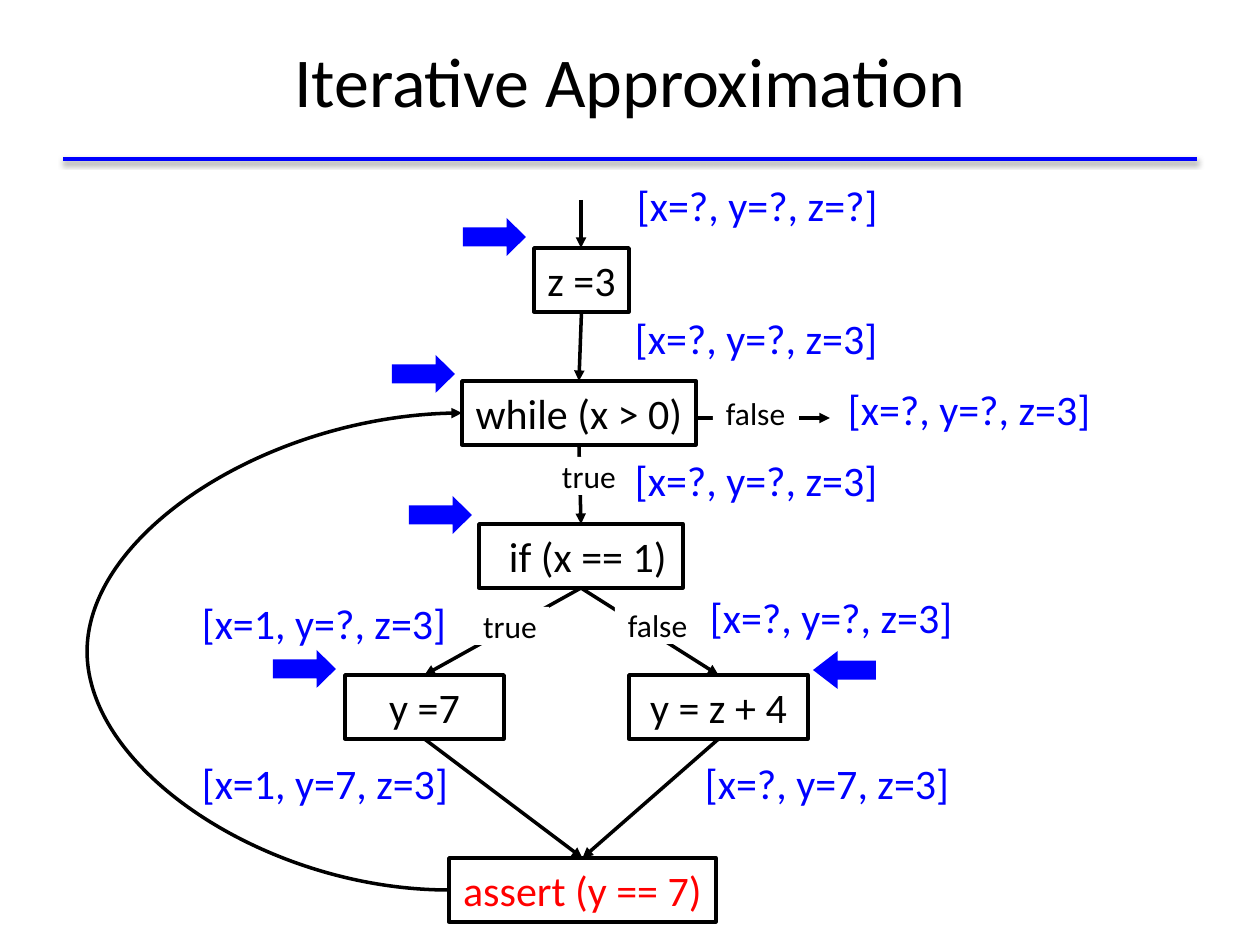
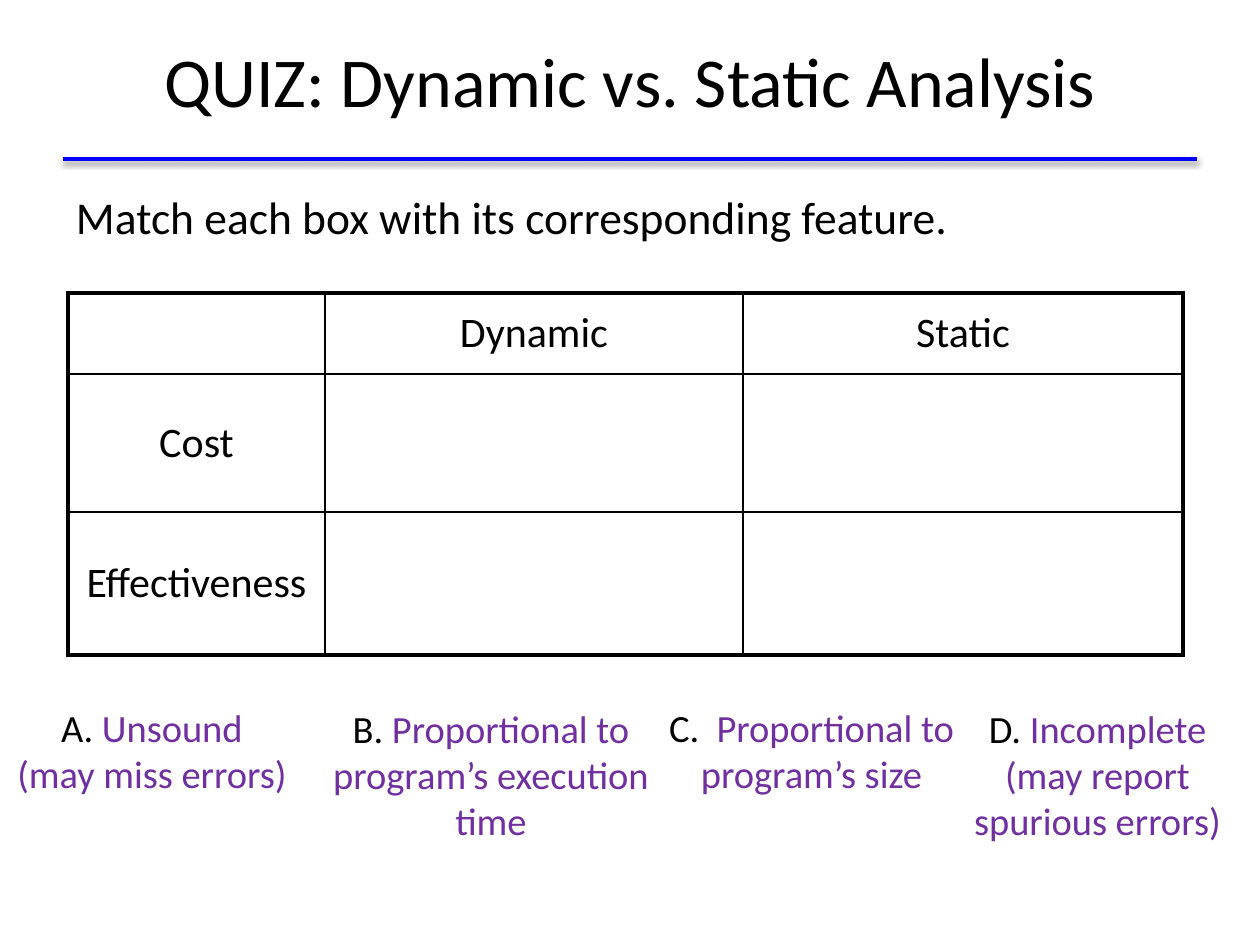
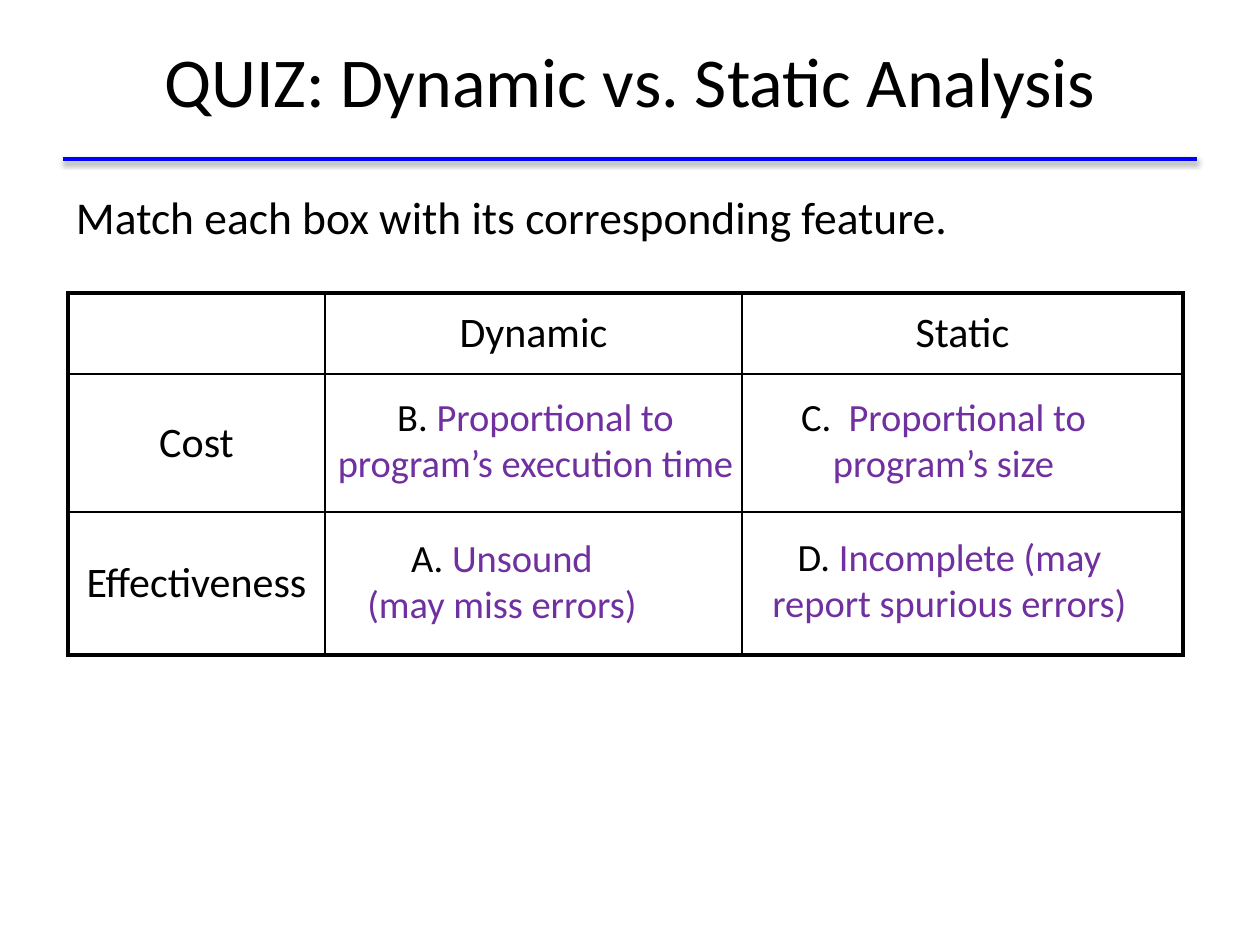
from lxml.etree import SubElement
from pptx import Presentation
from pptx.dml.color import RGBColor
from pptx.enum.shapes import MSO_CONNECTOR, MSO_SHAPE
from pptx.enum.text import MSO_ANCHOR, PP_ALIGN
from pptx.oxml.ns import qn
from pptx.util import Emu, Pt

STRAIGHT, CURVE = MSO_CONNECTOR.STRAIGHT, MSO_CONNECTOR.CURVE
RECT, ARROW = MSO_SHAPE.RECTANGLE, MSO_SHAPE.RIGHT_ARROW
LEFT, CENTER = PP_ALIGN.LEFT, PP_ALIGN.CENTER
TOP, MIDDLE = MSO_ANCHOR.TOP, MSO_ANCHOR.MIDDLE
SITE_TOP, SITE_LEFT, SITE_BOTTOM = 0, 1, 2
FONT = "Calibri"
BLACK, WHITE, BLUE, RED, PURPLE = "000000", "FFFFFF", "0000FF", "FF0000", "7030A0"
INSET = (13, 6, 13, 6)
THIN, THICK = 1, 2.25


def px(n):
    return Emu(round(n * 914400 / 126))


def rgb(color):
    return RGBColor.from_string(color)


class Deck:
    """Holds the shared style and draws elements on the current slide."""

    def __init__(self):
        self.prs = Presentation()
        self.prs.slide_width, self.prs.slide_height = px(1260), px(945)

    def slide(self, title):
        self.s = self.prs.slides.add_slide(self.prs.slide_layouts[6])
        rule = self.line(63, 159, 1197, 159, BLUE, head=False)
        effects = rule._element.spPr.find(qn("a:effectLst"))
        shadow = SubElement(effects, qn("a:outerShdw"), blurRad="40000",
                            dist="20000", dir="5400000", rotWithShape="0")
        color = SubElement(shadow, qn("a:srgbClr"), val=BLACK)
        SubElement(color, qn("a:alpha"), val="38000")
        self.text(63, 1, 1134, 158, [(title, BLACK)], 40, CENTER, MIDDLE)

    def set_runs(self, tf, runs, size, align, anchor, wrap=True, inset=INSET):
        tf.word_wrap, tf.vertical_anchor = wrap, anchor
        tf.margin_left, tf.margin_top, tf.margin_right, tf.margin_bottom = map(px, inset)
        p = tf.paragraphs[0]
        p.alignment = align
        for text, color in runs:
            for i, part in enumerate(text.split("\n")):
                if i:
                    p.add_line_break()
                r = p.add_run()
                r.text = part
                r.font.name, r.font.size = FONT, Pt(size)
                r.font.color.rgb = rgb(color)

    def text(self, x, y, w, h, runs, size, align=LEFT, anchor=TOP, wrap=True):
        sp = self.s.shapes.add_textbox(px(x), px(y), px(w), px(h))
        self.set_runs(sp.text_frame, runs, size, align, anchor, wrap)

    def shape(self, kind, x, y, w, h, fill=None, line=None):
        sp = self.s.shapes.add_shape(kind, px(x), px(y), px(w), px(h))
        sp.shadow.inherit = False
        if fill:
            sp.fill.solid()
            sp.fill.fore_color.rgb = rgb(fill)
        else:
            sp.fill.background()
        if line:
            sp.line.color.rgb, sp.line.width = rgb(line), Pt(2)
        else:
            sp.line.fill.background()
        return sp

    def node(self, x, y, w, text, color=BLACK, align=CENTER, indent=13):
        sp = self.shape(RECT, x, y, w, 64, line=BLACK)
        self.set_runs(sp.text_frame, [(text, color)], 24, align, MIDDLE, False,
                      (indent, 6, 13, 6))
        return sp

    def branch(self, x, y, w, text):
        sp = self.shape(RECT, x, y, w, 38, fill=WHITE)
        self.set_runs(sp.text_frame, [(text, BLACK)], 18, LEFT, MIDDLE, False,
                      (13, 0, 13, 0))

    def marker(self, x, y, rotation=0, head=0.51):
        sp = self.shape(ARROW, x, y, 63, 38, fill=BLUE)
        sp.adjustments[1] = head
        sp.rotation = rotation

    def line(self, x1, y1, x2, y2, color=BLACK, head=True, kind=STRAIGHT):
        c = self.s.shapes.add_connector(kind, px(x1), px(y1), px(x2), px(y2))
        c.line.color.rgb, c.line.width = rgb(color), Pt(2)
        if head:
            SubElement(c.line._get_or_add_ln(), qn("a:tailEnd"), type="triangle")
        SubElement(c._element.spPr, qn("a:effectLst"))
        return c

    def link(self, start, end):
        c = self.line(0, 0, 0, 0)
        c.begin_connect(start, SITE_BOTTOM)
        c.end_connect(end, SITE_TOP)

    def loop(self, start, end, bend_x):
        c = self.line(0, 0, 0, 0, kind=CURVE)
        c.begin_connect(start, SITE_LEFT)
        c.end_connect(end, SITE_LEFT)
        adj = round((px(bend_x) - start.left) / (end.left - start.left) * 100000)
        pr = c._element.spPr
        xfrm, geom = pr.find(qn("a:xfrm")), pr.find(qn("a:prstGeom"))
        xfrm.attrib.pop("flipV", None)
        xfrm.set("rot", "10800000")
        xfrm.set("flipH", "1")
        SubElement(geom.find(qn("a:avLst")), qn("a:gd"), name="adj1", fmla=f"val {adj}")

    def border(self, cell, side, width):
        ln = SubElement(cell._tc.get_or_add_tcPr(), qn("a:" + side), w=str(Pt(width)))
        SubElement(SubElement(ln, qn("a:solidFill")), qn("a:srgbClr"), val=BLACK)

    def table(self, x, y, cols, rows, cells):
        tbl = self.s.shapes.add_table(len(rows), len(cols), px(x), px(y),
                                      px(sum(cols)), px(sum(rows))).table
        tbl.first_row = tbl.horz_banding = False
        for col, w in zip(tbl.columns, cols):
            col.width = px(w)
        for row, h in zip(tbl.rows, rows):
            row.height = px(h)
        for i, texts in enumerate(cells):
            for j, text in enumerate(texts):
                cell = tbl.cell(i, j)
                edges = {"lnL": j == 0, "lnR": j == len(cols) - 1,
                         "lnT": i == 0, "lnB": i == len(rows) - 1}
                for side, outer in edges.items():
                    self.border(cell, side, THICK if outer else THIN)
                cell.fill.background()
                cell.vertical_anchor = MIDDLE
                if text:
                    self.set_runs(cell.text_frame, [(text, BLACK)], 24, CENTER, MIDDLE)

    def quiz(self, cols):
        self.slide("QUIZ: Dynamic vs. Static Analysis")
        self.text(63, 183, 916, 68,
                  [("Match each box with its corresponding feature.", BLACK)],
                  26, wrap=False)
        self.table(68, 293, cols, (81, 138, 143),
                   (("", "Dynamic", "Static"), ("Cost", "", ""),
                    ("Effectiveness", "", "")))

    def option(self, x, y, w, letter, text, wrap=True):
        h = 46 * (text.count("\n") + 1) + 13
        self.text(x, y, w, h, [(letter, BLACK), (text, PURPLE)], 22, CENTER, wrap=wrap)


deck = Deck()

deck.slide("Iterative Approximation")
init = deck.node(534, 248, 95, "z =3")
loop = deck.node(462, 381, 234, "while (x > 0)")
test = deck.node(479, 524, 204, "if (x == 1)", align=LEFT, indent=30)
then = deck.node(345, 675, 159, "y =7")
other = deck.node(629, 675, 179, "y = z + 4")
check = deck.node(449, 858, 267, "assert (y == 7)", RED)
deck.line(581, 200, 581, 248)
for start, end in ((init, loop), (loop, test), (test, then), (test, other),
                   (other, check), (then, check)):
    deck.link(start, end)
deck.loop(check, loop, 87)
deck.line(697, 418, 830, 418)
for x, y, w, state in (
        (624, 174, 273, "[x=?, y=?, z=?]"), (622, 307, 277, "[x=?, y=?, z=3]"),
        (622, 449, 340, "[x=?, y=?, z=3]"), (697, 586, 451, "[x=?, y=?, z=3]"),
        (189, 592, 292, "[x=1, y=?, z=3]"), (835, 378, 276, "[x=?, y=?, z=3]"),
        (189, 752, 280, "[x=1, y=7, z=3]"), (692, 752, 451, "[x=?, y=7, z=3]")):
    deck.text(x, y, w, 64, [(state, BLUE)], 24)
for x, y, w, text in ((470, 607, 79, "true"), (615, 606, 86, "false"),
                      (549, 457, 79, "true"), (713, 394, 86, "false")):
    deck.branch(x, y, w, text)
for x, y in ((463, 218), (392, 355), (409, 496), (273, 650)):
    deck.marker(x, y)
deck.marker(813, 651, 180, 0.65)

deck.quiz((257, 418, 440))
deck.option(0, 698, 304, "A. ", "Unsound\n(may miss errors)")
deck.option(960, 699, 275, "D. ", "Incomplete\n(may report\nspurious errors)", False)
deck.option(318, 699, 346, "B. ", "Proportional to\nprogram’s execution\ntime")
deck.option(649, 698, 325, "C.  ", "Proportional to\nprogram’s size")

deck.quiz((257, 417, 441))
deck.option(319, 387, 433, "B. ", "Proportional to\nprogram’s execution time")
deck.option(781, 387, 325, "C.  ", "Proportional to\nprogram’s size")
deck.option(350, 528, 304, "A. ", "Unsound\n(may miss errors)")
deck.option(758, 527, 383, "D. ", "Incomplete (may\nreport spurious errors)", False)

deck.prs.save("out.pptx")
